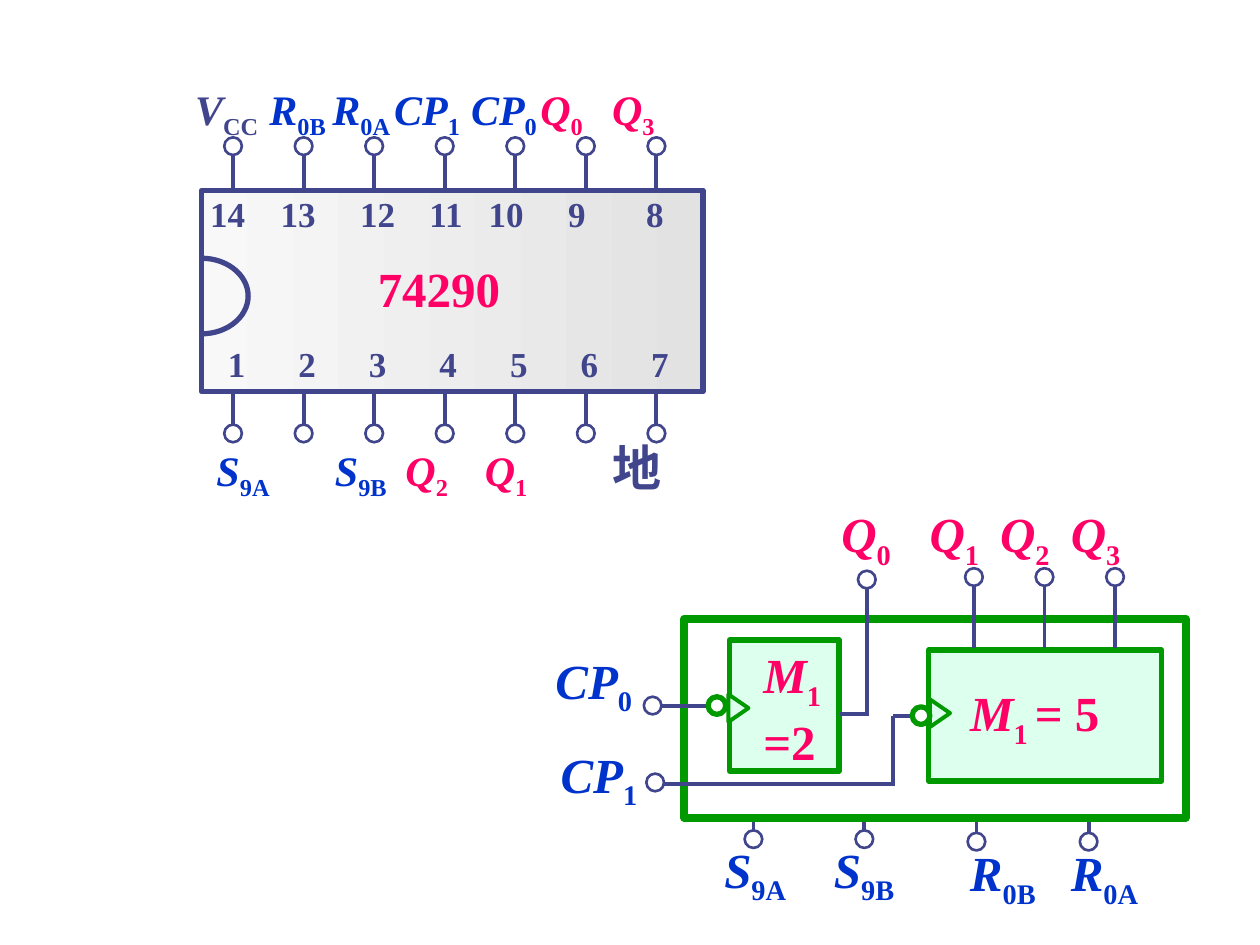
import math

from lxml import etree
from pptx import Presentation
from pptx.dml.color import RGBColor
from pptx.enum import shapes, text
from pptx.oxml import ns
from pptx.util import Emu, Inches, Pt

THEME = {
    "font": "Times New Roman",
    "colour": {"pin": "40458C", "ground": "40458C", "input": "0033CC",
               "output": "FF0066", "frame": "009900", "block": "DDFFED",
               "paper": "FFFFFF"},
    "chip": ("F8F8F8", "E2E2E2"),
    "large": 28, "medium": 24, "small": 20,
    "own_size": {"ground": 28},
    "wire": 2.25, "ring": 1.5, "outline": 3, "heavy": 4.5,
}
INSET = 0.1
RING = 0.14

# A label is (left edge, text, role); what follows "_" is a subscript.
PIN_COUNT, PIN_START, PIN_STEP = 7, 1.85, 0.56
TOP_NUMBERS = list(zip((1.67, 2.23, 2.86, 3.41, 3.88, 4.51, 5.13),
                       ("14", "13", "12", "11", "10", "9", "8"), ["pin"] * 7))
BOTTOM_NUMBERS = [(1.81 + PIN_STEP * i, str(i + 1), "pin") for i in range(PIN_COUNT)]
TOP_NAMES = [(1.55, "V_CC", "pin"), (2.14, "R_0B", "input"), (2.64, "R_0A", "input"),
             (3.13, "CP_1", "input"), (3.74, "CP_0", "input"),
             (4.29, "Q_0", "output"), (4.86, "Q_3", "output")]
BOTTOM_NAMES = [(1.72, "S_9A", "input"), (2.66, "S_9B", "input"),
                (3.22, "Q_2", "output"), (3.85, "Q_1", "output"),
                (4.86, "地", "ground")]
# A row is (box, type size, lines of labels).
CHIP_ROWS = [
    ((1.71, 2.67, 3.83, 0.44), "small", [BOTTOM_NUMBERS]),
    ((1.57, 1.48, 4.07, 0.44), "small", [TOP_NUMBERS]),
    ((2.9, 2, 1.43, 0.57), "large", [[(3, "74290", "output")]]),
    ((1.62, 3.42, 4.26, 0.61), "medium", [BOTTOM_NAMES]),
    ((1.45, 0.61, 4.49, 0.56), "medium", [TOP_NAMES]),
]
COUNTER_ROWS = [
    ((5.65, 6.61, 1.97, 0.63), "large",
     [[(5.75, "S_9A", "input"), (6.62, "S_9B", "input")]]),
    ((6.58, 3.95, 3.06, 0.63), "large",
     [[(6.68, "Q_0", "output"), (7.38, "Q_1", "output"),
       (7.94, "Q_2", "output"), (8.5, "Q_3", "output")]]),
    ((7.6, 6.64, 1.6, 0.63), "large",
     [[(7.7, "R_0B", "input"), (8.5, "R_0A", "input")]]),
    ((5.96, 5.07, 0.7, 1.1), "large",
     [[(6.06, "M_1", "output")], [(6.06, "=2", "output")]]),
    ((7.6, 5.37, 1.51, 0.63), "large", [[(7.7, "M_1 = 5", "output")]]),
    ((4.31, 5.11, 1.02, 0.63), "large", [[(4.41, "CP_0", "input")]]),
    ((4.35, 5.86, 1.08, 0.63), "large", [[(4.45, "CP_1", "input")]]),
]
# Terminals are (x, y of the ring centre).
CONTROL_PINS = [(5.98, 6.66), (6.86, 6.66), (7.75, 6.68), (8.64, 6.68)]
OUTPUT_PINS = [(7.73, 4.58), (8.29, 4.58), (8.85, 4.58)]


def colour(name):
    return RGBColor.from_string(THEME["colour"][name])


def draw(group, kind, at, fill, line, width):
    shape = group.add_shape(kind, *map(Inches, at))
    shape.shadow.inherit = False
    shape.fill.solid()
    shape.fill.fore_color.rgb = colour(fill)
    shape.line.color.rgb = colour(line)
    shape.line.width = Pt(THEME[width])
    return shape


def wire(group, *ends):
    line = group.add_connector(shapes.MSO_CONNECTOR.STRAIGHT, *map(Inches, ends))
    line.line.color.rgb = colour("pin")
    line.line.width = Pt(THEME["wire"])
    etree.SubElement(line._element.spPr, ns.qn("a:effectLst"))


def ring(group, x, y, line="pin", width="ring"):
    at = (x - RING / 2, y - RING / 2, RING, RING)
    draw(group, shapes.MSO_SHAPE.OVAL, at, "paper", line, width)


def terminal(group, x, y, end):
    """A vertical wire from the far side of a ring to the height end."""
    wire(group, x, y + math.copysign(RING / 2, y - end), x, end)
    ring(group, x, y)


def add_span(para, words, role, size, italic=False, lowered=False):
    span = para.add_run()
    span.text = words
    formats = {"name": THEME["font"], "bold": True, "italic": italic,
               "size": Pt(THEME["own_size"].get(role, THEME[size]))}
    for key, value in formats.items():
        setattr(span.font, key, value)
    span.font.color.rgb = colour(role)
    if lowered:
        span._r.get_or_add_rPr().set("baseline", "-25000")


def add_label(para, label, role, size):
    letter, mark, rest = label.partition("_")
    add_span(para, letter, role, size, italic=bool(mark))
    if mark:
        low, gap, tail = rest.partition(" ")
        add_span(para, low + gap, role, size, lowered=True)
        if tail:
            add_span(para, tail, role, size)


def add_row(group, at, size, lines):
    """A text box whose labels stand on tab stops."""
    frame = group.add_textbox(*map(Inches, at)).text_frame
    formats = {"word_wrap": True, "auto_size": text.MSO_AUTO_SIZE.NONE,
               "margin_left": Inches(INSET), "margin_right": Inches(INSET)}
    for key, value in formats.items():
        setattr(frame, key, value)
    for number, labels in enumerate(lines):
        para = frame.add_paragraph() if number else frame.paragraphs[0]
        if len(labels) > 1:
            stops = etree.SubElement(para._p.get_or_add_pPr(), ns.qn("a:tabLst"))
            for x, _, _ in labels[1:]:
                stop = etree.SubElement(stops, ns.qn("a:tab"))
                stop.set("pos", str(int(Inches(x - at[0] - INSET))))
                stop.set("algn", "l")
        for index, (_, label, role) in enumerate(labels):
            if index:
                add_span(para, "\t", role, size)
            add_label(para, label, role, size)


def draw_notch(group, x, y, across, down):
    angles = [math.radians(a) for a in range(-90, 91, 6)]
    points = [(Inches(x + across * math.cos(a)), Inches(y + down * math.sin(a)))
              for a in angles]
    builder = group.build_freeform(*points[0], scale=1.0)
    builder.add_line_segments(points[1:], close=False)
    notch = builder.convert_to_shape(Emu(0), Emu(0))
    notch.shadow.inherit = False
    notch.fill.background()
    notch.line.color.rgb = colour("pin")
    notch.line.width = Pt(THEME["outline"])


def draw_counter(group):
    box = shapes.MSO_SHAPE.RECTANGLE
    for x, y in CONTROL_PINS:
        terminal(group, x, y, y - 0.65)
    draw(group, box, (5.43, 4.91, 3.98, 1.58), "paper", "frame", "heavy")
    draw(group, box, (7.37, 5.16, 1.85, 1.04), "block", "frame", "outline")
    draw(group, box, (5.79, 5.08, 0.87, 1.04), "block", "frame", "outline")
    for x, y in OUTPUT_PINS:
        terminal(group, x, y, 5.14)
    terminal(group, 6.88, 4.6, 5.67)
    for ends in [(6.67, 5.67, 6.9, 5.67), (5.15, 5.6, 5.66, 5.6),
                 (5.15, 6.22, 7.1, 6.22), (7.09, 5.68, 7.09, 6.23),
                 (7.09, 5.68, 7.31, 5.68)]:
        wire(group, *ends)
    for x, y in [(5.18, 5.6), (5.2, 6.21)]:
        ring(group, x, y)
    for x, y in [(5.86, 5.62), (7.46, 5.66)]:
        clock = draw(group, shapes.MSO_SHAPE.ISOSCELES_TRIANGLE,
                     (x - 0.11, y - 0.08, 0.22, 0.16), "block", "frame", "wire")
        clock.rotation = 90
    for x, y in [(5.69, 5.6), (7.31, 5.68)]:
        ring(group, x, y, "frame", "outline")


def draw_chip(group):
    body = draw(group, shapes.MSO_SHAPE.RECTANGLE, (1.6, 1.51, 3.98, 1.6),
                "paper", "pin", "outline")
    body.fill.gradient()
    body.fill.gradient_angle = 0
    for stop, shade in zip(body.fill.gradient_stops, THEME["chip"]):
        stop.color.rgb = RGBColor.from_string(shade)
    for y, end in [(1.16, 1.5), (3.44, 3.1)]:
        for i in range(PIN_COUNT):
            terminal(group, PIN_START + PIN_STEP * i, y, end)
    draw_notch(group, 1.6, 2.35, 0.37, 0.3)


def main():
    deck = Presentation()
    deck.slide_width, deck.slide_height = Inches(10), Inches(7.5)
    page = deck.slides.add_slide(deck.slide_layouts[6])
    for draw_part, rows in [(draw_counter, COUNTER_ROWS), (draw_chip, CHIP_ROWS)]:
        group = page.shapes.add_group_shape().shapes
        draw_part(group)
        for row in rows:
            add_row(group, *row)
    deck.save("out.pptx")


if __name__ == "__main__":
    main()
